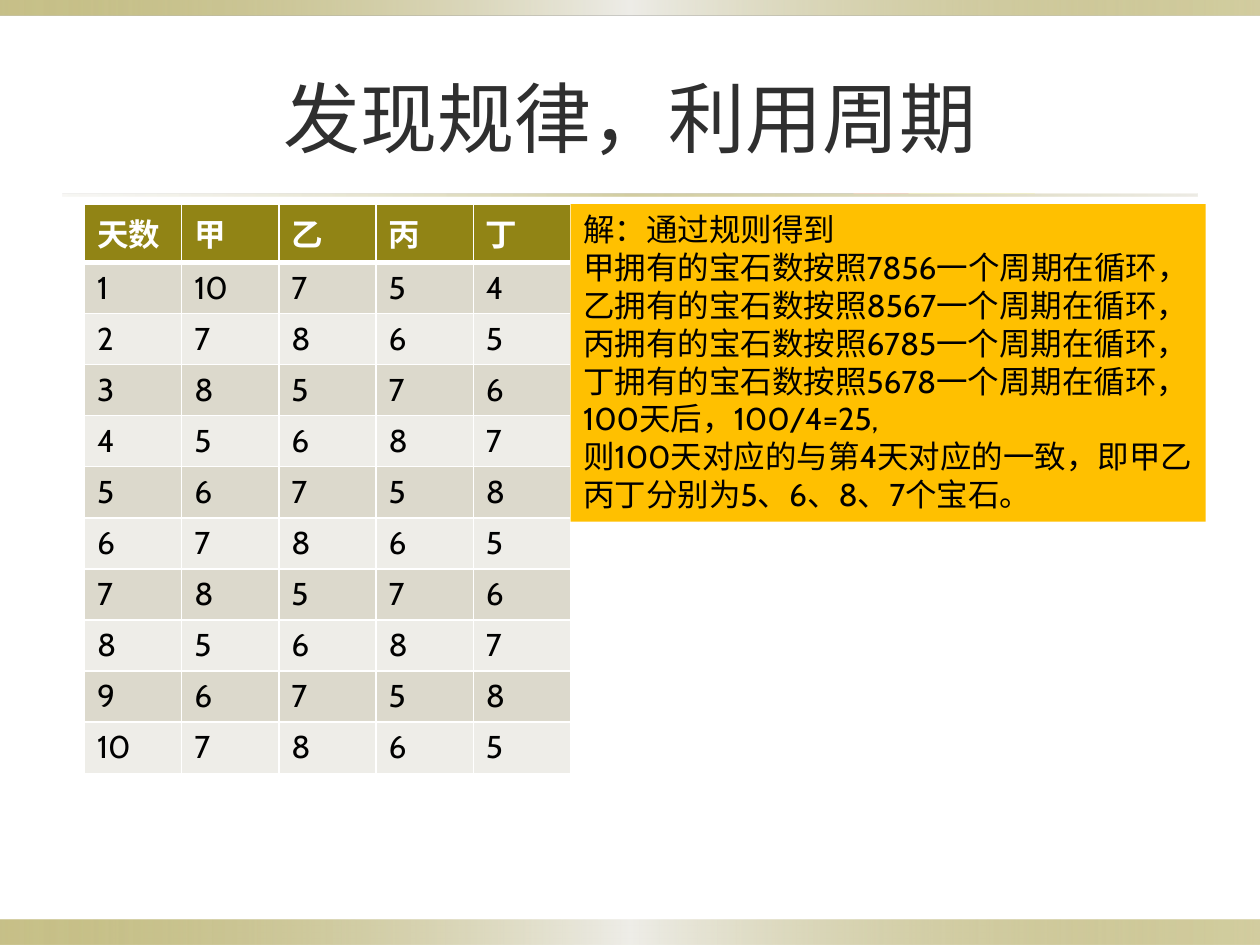
from lxml import etree
from pptx import Presentation
from pptx.dml.color import RGBColor
from pptx.enum import shapes, text
from pptx.oxml import ns
from pptx.util import Inches, Pt

FONT = "Cabin"
CYCLES = {"甲": "7856", "乙": "8567", "丙": "6785", "丁": "5678"}
FIRST_DAY = ["1", "10", "7", "5", "4"]
BAND = [(0, "918415", 50), (50, "EEEDE8", 100), (100, "918415", 40)]
RULE = [(0, "DCD9CC", 20), (50, "918415", 40), (100, "DCD9CC", 50)]


def rgb(value):
    """Return the colour for a hex string."""
    return RGBColor.from_string(value)


def sub(parent, tag, **attrs):
    """Append a DrawingML element with the given attributes."""
    element = etree.SubElement(parent, ns.qn("a:" + tag))
    for name, value in attrs.items():
        element.set(name, str(value))
    return element


def style(p, size, color, bold=False):
    """Format a whole paragraph."""
    p.font.name, p.font.size, p.font.bold = FONT, Pt(size), bold
    p.font.color.rgb = rgb(color)


def add_box(s, left, top, width, height):
    """Add a plain rectangle without line or shadow."""
    sp = s.shapes.add_shape(shapes.MSO_SHAPE.RECTANGLE, Inches(left), Inches(top),
                            Inches(width), Inches(height))
    sp.shadow.inherit = False
    sp.line.fill.background()
    return sp


def add_gradient_bar(s, box, stops):
    """Add a bar with a horizontal, partly transparent gradient."""
    sp = add_box(s, *box)
    sp.fill.gradient()
    sp.fill.gradient_angle = 0
    stop_list = sp.element.spPr.find(".//" + ns.qn("a:gsLst"))
    for old in list(stop_list):
        stop_list.remove(old)
    for position, color, alpha in stops:
        stop = sub(stop_list, "gs", pos=position * 1000)
        sub(sub(stop, "srgbClr", val=color), "alpha", val=alpha * 1000)


def add_title(s, left, top, width, height, wording):
    """Place and format the title placeholder."""
    sp = s.shapes.title
    sp.left, sp.top, sp.width, sp.height = map(Inches, (left, top, width, height))
    tf = sp.text_frame
    tf.text = wording
    tf.vertical_anchor = text.MSO_ANCHOR.MIDDLE
    p = tf.paragraphs[0]
    p.alignment = text.PP_ALIGN.CENTER
    style(p, 44, "2F2F2F")


def add_borders(cell, top, bottom):
    """Draw white borders round a cell, widths in points."""
    tc_pr = cell._tc.get_or_add_tcPr()
    for tag, width in (("lnL", 1), ("lnR", 1), ("lnT", top), ("lnB", bottom)):
        line = sub(tc_pr, tag, w=Pt(width))
        sub(sub(line, "solidFill"), "srgbClr", val="FFFFFF")


def add_gem_table(s, left, top, width, height):
    """Add the table of gems held on each of ten days."""
    rows = [["天数", *CYCLES], FIRST_DAY]
    for day in range(2, 11):
        rows.append([str(day), *(c[(day - 2) % 4] for c in CYCLES.values())])
    table = s.shapes.add_table(len(rows), len(rows[0]), Inches(left), Inches(top),
                               Inches(width), Inches(height)).table
    for i, row in enumerate(rows):
        header = i == 0
        fill = "918415" if header else ("EEEDE8", "DCD9CC")[i % 2]
        for j, value in enumerate(row):
            cell = table.cell(i, j)
            cell.text = value
            add_borders(cell, 3 if i == 1 else 1, 3 if header else 1)
            cell.fill.solid()
            cell.fill.fore_color.rgb = rgb(fill)
            style(cell.text_frame.paragraphs[0], 18,
                  "FFFFFF" if header else "000000", header)


def add_solution(s, left, top, width, height):
    """Add the coloured box with the worked solution."""
    sp = add_box(s, left, top, width, height)
    sp.fill.solid()
    sp.fill.fore_color.rgb = rgb("FFC000")
    lines = ["解：通过规则得到"]
    lines += [f"{name}拥有的宝石数按照{cycle}一个周期在循环，" for name, cycle in CYCLES.items()]
    lines += ["100天后，100/4=25,",
              "则100天对应的与第4天对应的一致，即甲乙丙丁分别为5、6、8、7个宝石。"]
    tf = sp.text_frame
    tf.text = "\n".join(lines)
    tf.word_wrap = True
    tf.auto_size = text.MSO_AUTO_SIZE.SHAPE_TO_FIT_TEXT
    tf.vertical_anchor = text.MSO_ANCHOR.TOP
    for p in tf.paragraphs:
        p.alignment = text.PP_ALIGN.LEFT
        style(p, 18, "000000")


def main():
    """Build the slide and save it."""
    prs = Presentation()
    prs.slide_width, prs.slide_height = Inches(10), Inches(7.5)
    s = prs.slides.add_slide(prs.slide_layouts[5])
    add_gradient_bar(s, (0, 7.3, 10, 0.2), BAND)
    add_gradient_bar(s, (0, 0, 10, 0.12), BAND)
    add_gradient_bar(s, (0.5, 1.54, 9, 0.02), RULE)
    add_title(s, 0.5, 0.3, 9, 1.25, "发现规律，利用周期")
    add_gem_table(s, 0.67, 1.62, 3.86, 4.46)
    add_solution(s, 4.53, 1.62, 5.04, 2.52)
    prs.save("out.pptx")


main()
